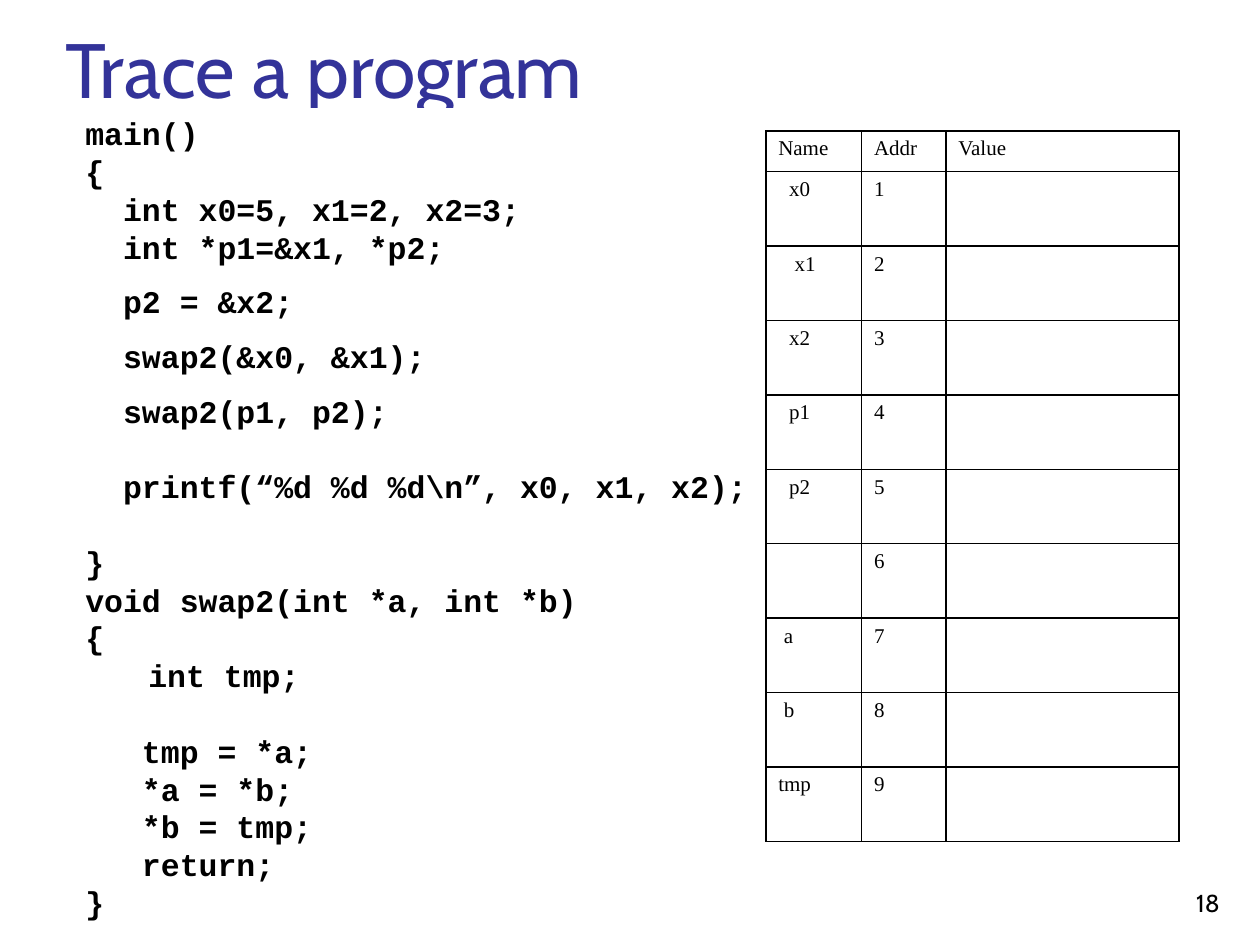
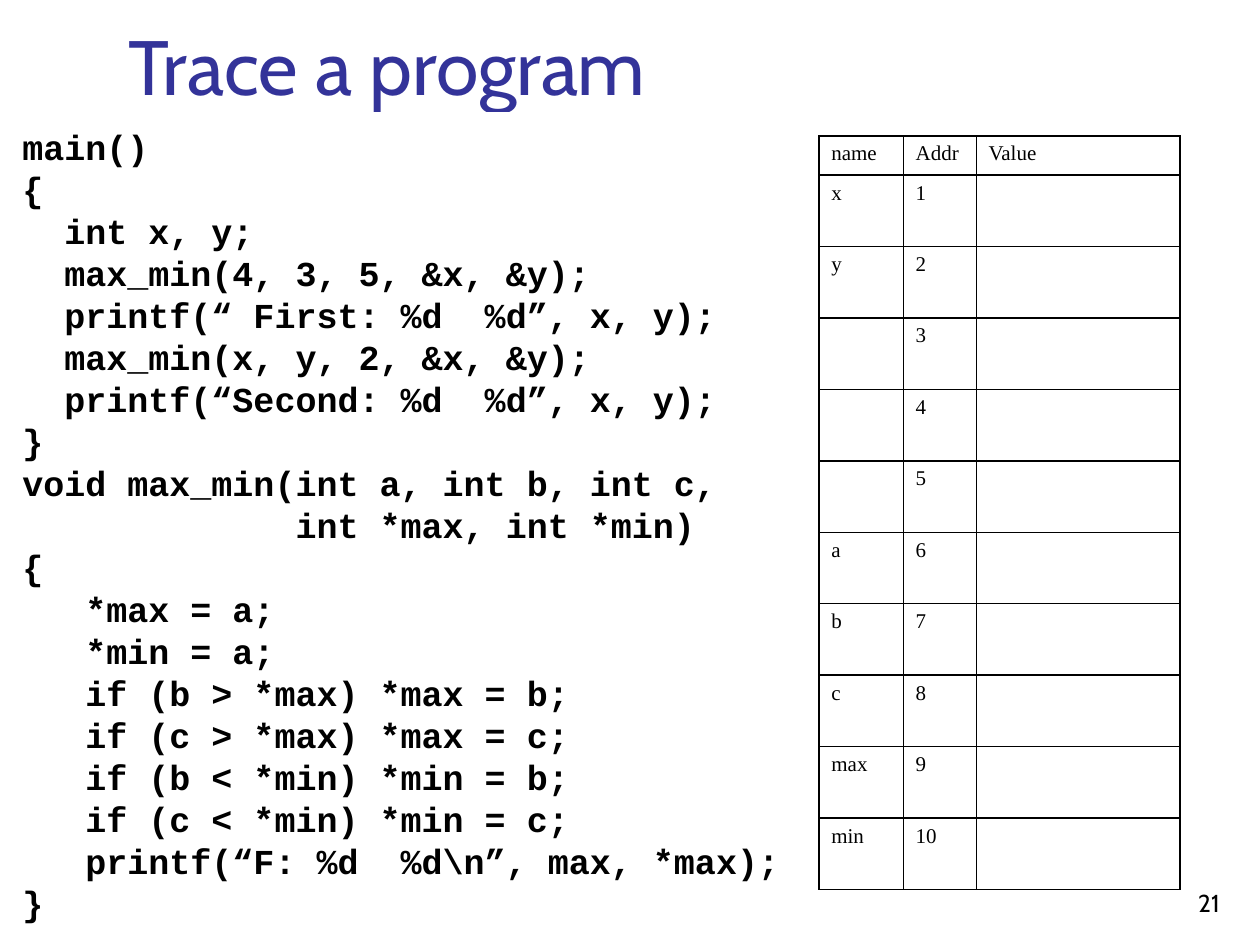
from lxml.etree import SubElement as Sub
from pptx import Presentation as Deck
from pptx.dml.color import RGBColor as Rgb
from pptx.enum.shapes import MSO_SHAPE as Kind
from pptx.enum.text import MSO_ANCHOR as Anchor, MSO_AUTO_SIZE as Auto, PP_ALIGN as Align
from pptx.oxml import parse_xml
from pptx.oxml.ns import nsdecls, qn
from pptx.util import Cm, Pt

BLACK, WHITE, BLUE = "000000", "FFFFFF", "333399"
SANS, MONO, SERIF = "Cabin", "Courier New", "Times New Roman"

SWAP = """main()
{
  int x0=5, x1=2, x2=3;
  int *p1=&x1, *p2;
  p2 = &x2;
  swap2(&x0, &x1);
  swap2(p1, p2);
  printf(“%d %d %d\\n”, x0, x1, x2);
}
void swap2(int *a, int *b)
{
\tint tmp;
   tmp = *a;
   *a = *b;
   *b = tmp;
   return;
}"""
GAPS = {4: 9.6, 5: 9.6, 6: 9.6, 7: 21.6, 8: 21.6, 12: 21.6}

BOUNDS = """main()
{
  int x, y;
  max_min(4, 3, 5, &x, &y);
  printf(“ First: %d  %d”, x, y);
  max_min(x, y, 2, &x, &y);
  printf(“Second: %d  %d”, x, y);
}
void max_min(int a, int b, int c,
             int *max, int *min)
{
   *max = a;
   *min = a;
   if (b > *max) *max = b;
   if (c > *max) *max = c;
   if (b < *min) *min = b;
   if (c < *min) *min = c;
   printf(“F: %d  %d\\n”, max, *max);
}"""


def tint(code):
    return Rgb.from_string(code)


class Page:
    """Holds the deck style and the current slide."""

    def __init__(self):
        self.deck = Deck()
        self.deck.slide_width, self.deck.slide_height = Cm(25.4), Cm(19.05)

    def start(self, num):
        self.slide = self.deck.slides.add_slide(self.deck.slide_layouts[5])
        box = self.slide.shapes.add_textbox(Cm(19.56), Cm(17.35), Cm(5.28), Cm(1.27))
        frame = box.text_frame
        frame.word_wrap = True
        frame.vertical_anchor = Anchor.BOTTOM
        self.label(frame.paragraphs[0], str(num), SANS, 14, align=Align.RIGHT)

    def label(self, para, text, face, size, color=BLACK, bold=False, align=Align.LEFT):
        para.text = text
        para.alignment = align
        font = para.font
        font.name, font.size, font.bold = face, Pt(size), bold
        font.color.rgb = tint(color)

    def title(self, text, left, top, high, foot):
        box = self.slide.shapes.title
        box.left, box.top, box.width, box.height = Cm(left), Cm(top), Cm(21.64), Cm(high)
        frame = box.text_frame
        frame.auto_size = Auto.NONE
        frame.vertical_anchor = Anchor.BOTTOM
        frame.margin_bottom = Cm(foot)
        self.label(frame.paragraphs[0], text, SANS, 44, BLUE)

    def code(self, text, top, wide, high, size, first=0, gaps={}):
        box = self.slide.shapes.add_shape(Kind.RECTANGLE, Cm(0.2), Cm(top), Cm(wide), Cm(high))
        box.shadow.inherit = False
        box.fill.solid()
        box.fill.fore_color.rgb = tint(WHITE)
        box.line.fill.background()
        frame = box.text_frame
        frame.word_wrap = True
        frame.vertical_anchor = Anchor.MIDDLE
        for row, line in enumerate(text.split("\n")):
            para = frame.add_paragraph() if row else frame.paragraphs[0]
            props = para._p.get_or_add_pPr()
            props.set("marL", "0")
            props.set("indent", str(Cm(first)))
            para.line_spacing = Pt(size * 1.2)
            if row in gaps:
                para.space_before = Pt(gaps[row])
            self.label(para, line, MONO, size, bold=True)

    def edge(self, cell):
        props = cell._tc.get_or_add_tcPr()
        for spot, side in enumerate("LRTB"):
            line = parse_xml(f'<a:ln{side} {nsdecls("a")} w="12700"/>')
            fill = Sub(line, qn("a:solidFill"))
            Sub(fill, qn("a:srgbClr"), val=BLACK)
            props.insert(spot, line)

    def table(self, head, names, left, top, cols, head_high, row_high):
        rows = [head] + [(name, str(addr), "") for addr, name in enumerate(names, 1)]
        highs = [head_high] + [row_high] * len(names)
        grid = self.slide.shapes.add_table(len(rows), len(cols), Cm(left), Cm(top),
                                           Cm(sum(cols)), Cm(sum(highs))).table
        grid.first_row = grid.horz_banding = False
        for col, wide in zip(grid.columns, cols):
            col.width = Cm(wide)
        for row, high, texts in zip(grid.rows, highs, rows):
            row.height = Cm(high)
            for cell, text in zip(row.cells, texts):
                word = text.lstrip()
                cell.margin_left = Cm(0.25 + 0.11 * (len(text) - len(word)))
                cell.fill.background()
                self.edge(cell)
                self.label(cell.text_frame.paragraphs[0], word, SERIF, 12)


def main():
    page = Page()

    page.start(18)
    page.title("Trace a program", 1.07, 0.2, 4.06, 1.96)
    page.code(SWAP, 2.18, 15.24, 16.51, 18, 1.27, GAPS)
    names = ["  x0", "   x1", "  x2", "  p1", "  p2", "", " a", " b", "tmp"]
    page.table(("Name", "Addr", "Value"), names, 15.44, 2.64, (1.93, 1.7, 4.7), 0.82, 1.5)

    page.start(21)
    page.title("Trace a program", 2.34, -0.43, 2.79, 0.13)
    page.code(BOUNDS, 2.26, 16.31, 16.64, 20)
    names = ["x", "y", "", "", "", "a", "b", "c", "max", "min"]
    page.table(("name", "Addr", "Value"), names, 16.51, 2.74, (1.7, 1.47, 4.11), 0.79, 1.44)

    page.deck.save("out.pptx")


if __name__ == "__main__":
    main()
